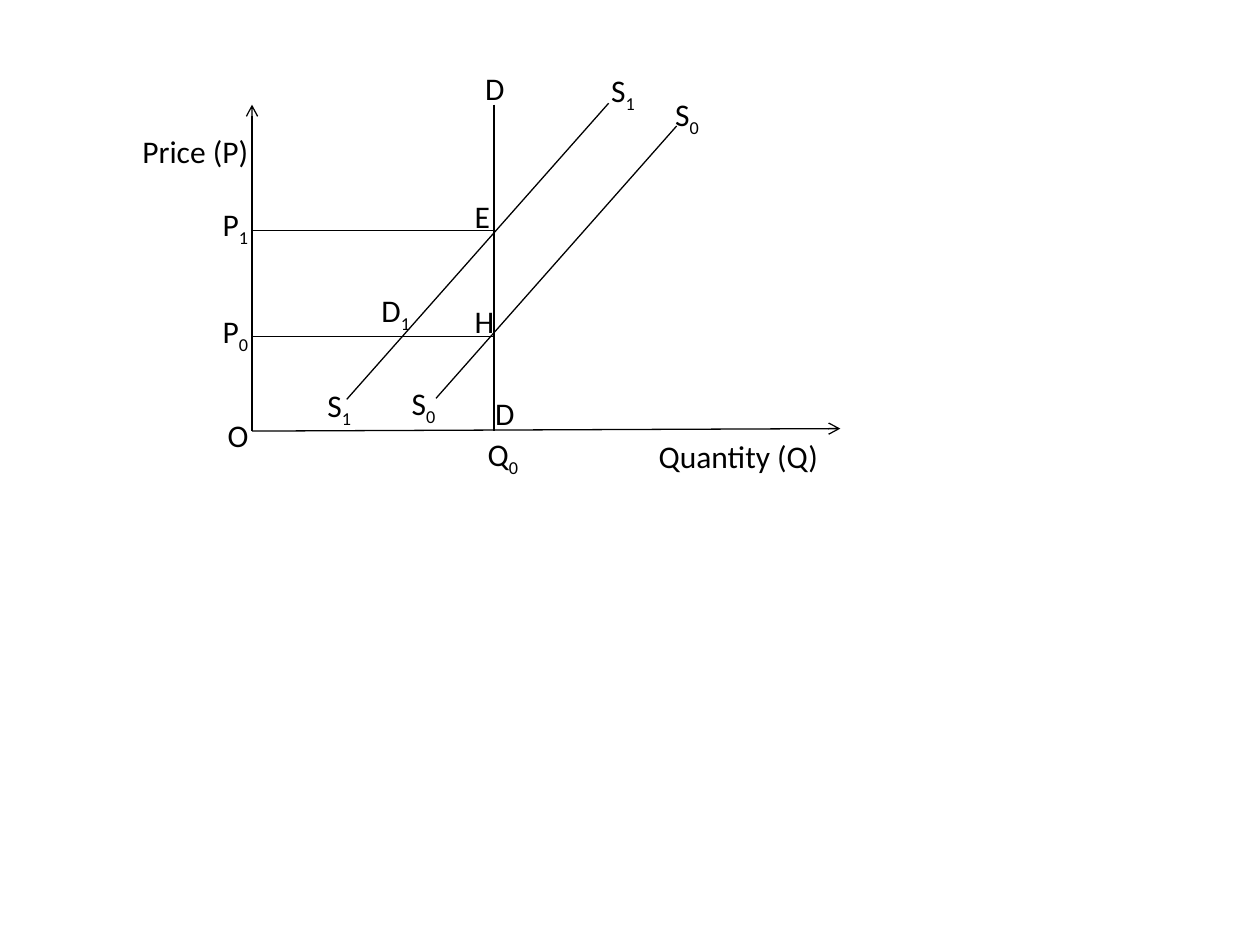
from lxml.etree import SubElement
from pptx import Presentation
from pptx.dml.color import RGBColor
from pptx.enum.shapes import MSO_CONNECTOR
from pptx.enum.text import MSO_AUTO_SIZE
from pptx.oxml.ns import qn
from pptx.util import Cm, Pt

INK = "000000"
LABEL_HEIGHT = 1.02

ORIGIN_X, ORIGIN_Y = 5.08, 8.69
AXIS_TOP = 2.11
DEMAND_X = 9.96
PRICE_LEVELS = [4.65, 6.78]

AXES = [
    ((ORIGIN_X, ORIGIN_Y), (ORIGIN_X, AXIS_TOP)),
    ((ORIGIN_X, ORIGIN_Y), (16.94, 8.64)),
]
SUPPLY_CURVES = [
    ((12.27, 2.08), (6.99, 8.05)),
    ((13.64, 2.54), (8.79, 8.03)),
]
LABELS = [
    ("E", "", 9.32, 3.84, 0.81),
    ("H", "", 9.32, 5.97, 0.91),
    ("D", "", 9.73, 7.82, 0.91),
    ("S", "1", 12.07, 1.3, 1.02),
    ("S", "0", 13.36, 1.8, 1.02),
    ("S", "1", 6.35, 7.65, 1.02),
    ("S", "0", 8.05, 7.62, 1.02),
    ("D", "1", 7.44, 5.74, 1.12),
    ("Q", "0", 9.58, 8.64, 1.17),
    ("D", "", 9.53, 1.27, 0.91),
    ("P", "1", 4.24, 4.01, 1.07),
    ("P", "0", 4.24, 6.17, 1.07),
    ("O", "", 4.34, 8.26, 0.94),
    ("Quantity (Q)", "", 13.03, 8.69, 3.91),
    ("Price (P)", "", 2.62, 2.54, 2.67),
]


def color(hex_code):
    return RGBColor.from_string(hex_code)


def add_line(slide, start, end, arrow=False):
    ends = [Cm(value) for value in (*start, *end)]
    line = slide.shapes.add_connector(MSO_CONNECTOR.STRAIGHT, *ends)
    line.line.color.rgb = color(INK)
    line.line.width = Pt(0.75)
    properties = line._element.spPr
    if arrow:
        SubElement(properties.find(qn("a:ln")), qn("a:tailEnd"), type="arrow")
    SubElement(properties, qn("a:effectLst"))


def add_label(slide, symbol, subscript, left, top, width):
    label = slide.shapes.add_textbox(Cm(left), Cm(top), Cm(width), Cm(LABEL_HEIGHT))
    frame = label.text_frame
    frame.word_wrap = False
    frame.auto_size = MSO_AUTO_SIZE.SHAPE_TO_FIT_TEXT
    frame.text = symbol
    paragraph = frame.paragraphs[0]
    if subscript:
        index = paragraph.add_run()
        index.text = subscript
        index._r.get_or_add_rPr().set("baseline", "-25000")
    for run in paragraph.runs:
        run.font.name = "Calibri"
        run.font.size = Pt(18)
        run.font.color.rgb = color(INK)


def main():
    deck = Presentation()
    deck.slide_width, deck.slide_height = Cm(25.4), Cm(19.05)
    slide = deck.slides.add_slide(deck.slide_layouts[6])
    for start, end in AXES:
        add_line(slide, start, end, arrow=True)
    for price in PRICE_LEVELS:
        add_line(slide, (ORIGIN_X, price), (DEMAND_X, price))
    add_line(slide, (DEMAND_X, AXIS_TOP), (DEMAND_X, ORIGIN_Y))
    for start, end in SUPPLY_CURVES:
        add_line(slide, start, end)
    for label in LABELS:
        add_label(slide, *label)
    deck.save("out.pptx")


if __name__ == "__main__":
    main()
